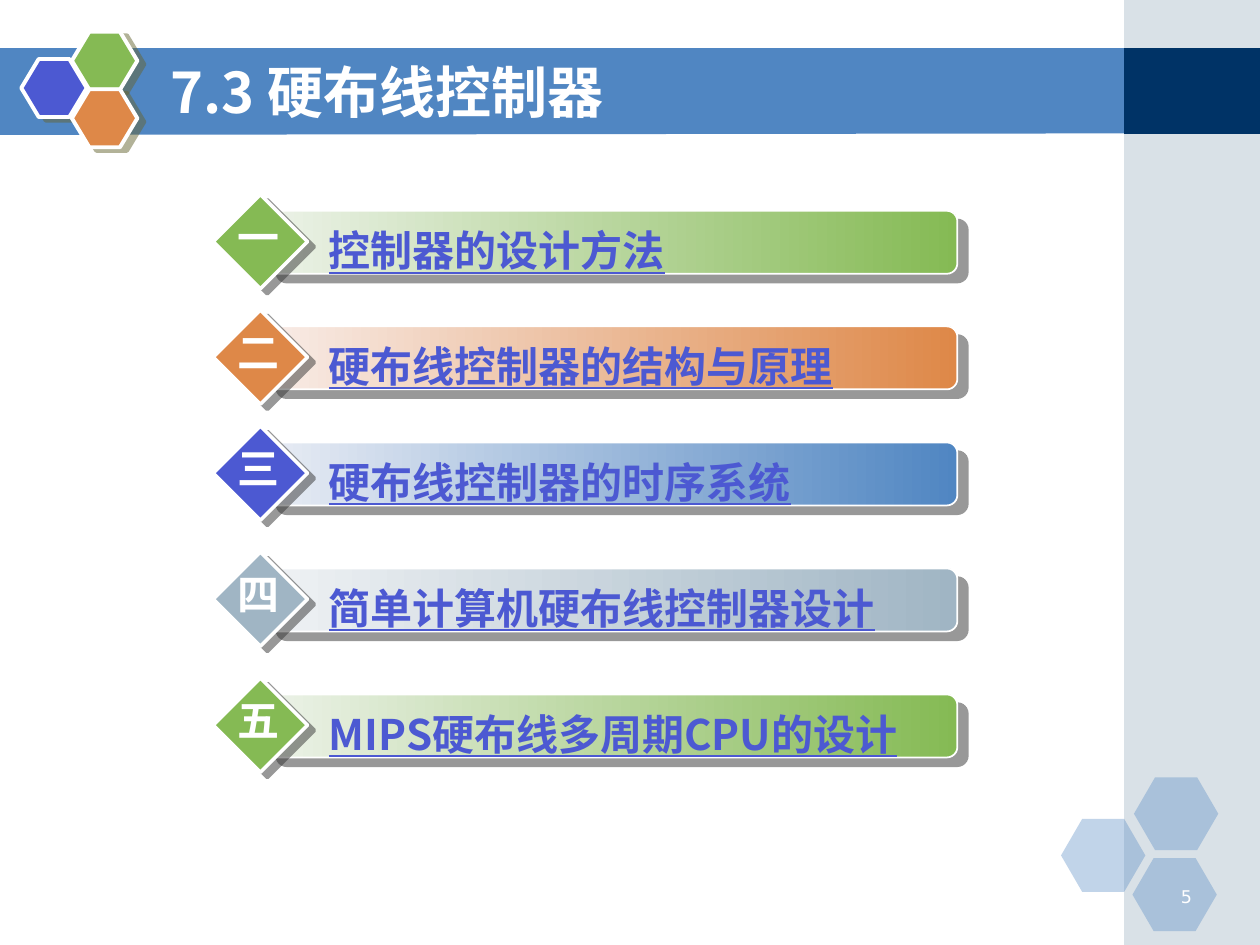
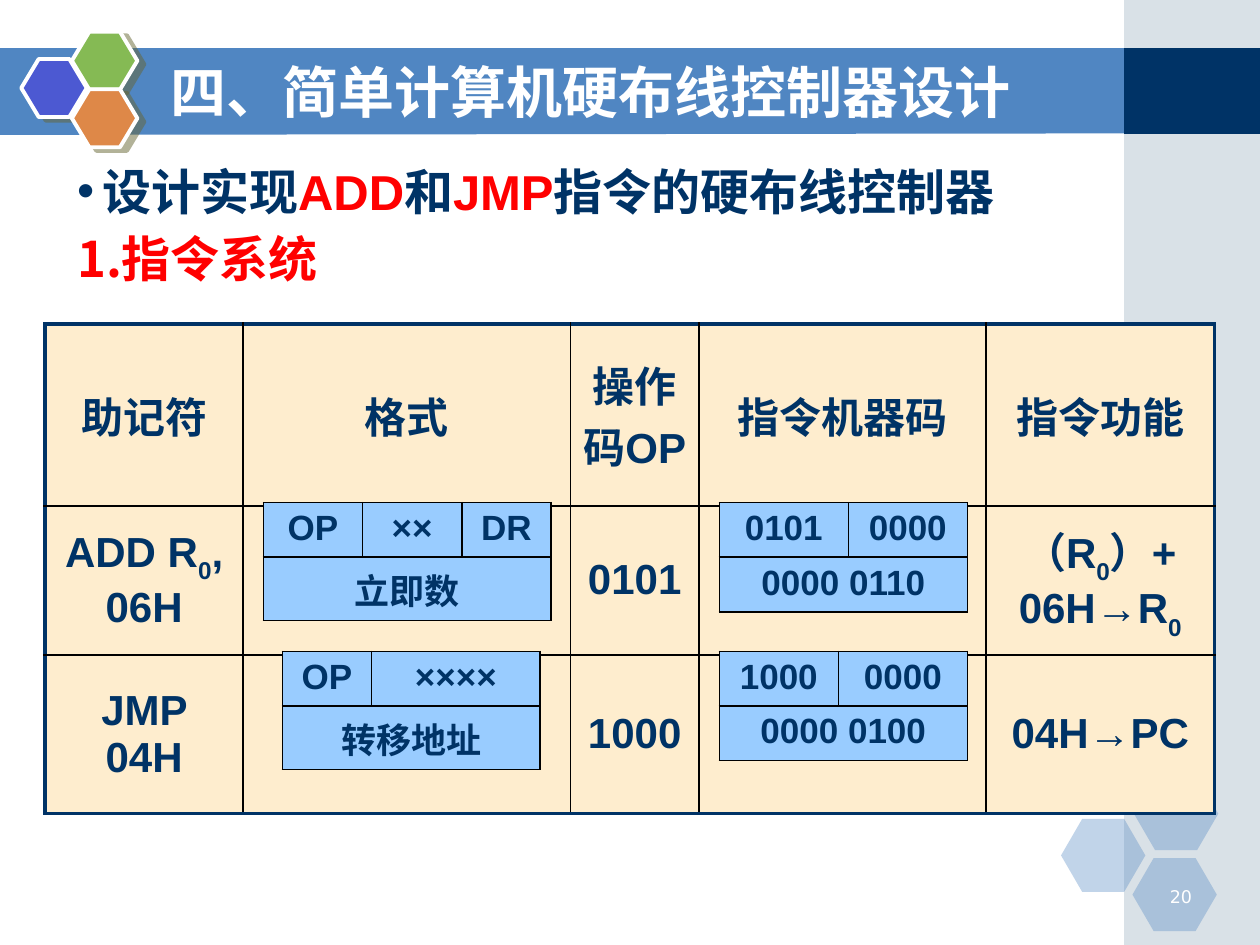
from lxml import etree
from pptx import Presentation
from pptx.dml.color import RGBColor
from pptx.enum.shapes import MSO_SHAPE as Shape
from pptx.enum.text import MSO_ANCHOR as Anchor, MSO_AUTO_SIZE as AutoSize, PP_ALIGN as Align
from pptx.oxml.ns import qn
from pptx.util import Cm, Pt

CJK = "Noto Sans CJK SC"
WHITE, BLACK, NAVY, RED = "FFFFFF", "000000", "003366", "FF0000"
BLUE, INDIGO, GREEN, ORANGE, GREY = "5086C2", "4C59D2", "85BA54", "DE8848", "A0B5C4"
CREAM, SKY = "FEEDCE", "99CCFF"

AGENDA = [
    (4.25, "一", "控制器的设计方法", GREEN, "ECF2E8", GREEN),
    (6.58, "二", "硬布线控制器的结构与原理", ORANGE, "F8ECE7", ORANGE),
    (8.92, "三", "硬布线控制器的时序系统", INDIGO, "E8ECF4", BLUE),
    (11.46, "四", "简单计算机硬布线控制器设计", GREY, "EFF2F4", GREY),
    (14.0, "五", "MIPS硬布线多周期CPU的设计", GREEN, "ECF2E8", GREEN),
]
INSTRUCTIONS = [
    ["助记符", "格式", "操作码OP", "指令机器码", "指令功能"],
    ["ADD R_0_, 06H", "", "0101", "", "（R_0_）+ 06H→R_0_"],
    ["JMP 04H", "", "1000", "", "04H→PC"],
]
CODE_WORDS = [
    (5.31, 10.13, [2, 2, 1.8], ["OP", "××", "DR"], "立即数", 1.28),
    (14.5, 10.13, [2.6, 2.4], ["0101", "0000"], "0000 0110", 1.1),
    (5.69, 13.13, [1.8, 3.4], ["OP", "××××"], "转移地址", 1.28),
    (14.5, 13.13, [2.4, 2.6], ["1000", "0000"], "0000 0100", 1.1),
]


def rgb(color):
    return RGBColor.from_string(color)


def sub(parent, tag, **attrs):
    return etree.SubElement(parent, qn(tag), {k: str(v) for k, v in attrs.items()})


def add_run(p, text, size=24, color=NAVY, font=CJK, bold=True, underline=False, base=0):
    r = p.add_run()
    r.text = text
    f = r.font
    f.size, f.bold, f.name = Pt(size), bold, font
    f.color.rgb = rgb(color)
    if underline:
        f.underline = True
    rPr = r._r.get_or_add_rPr()
    sub(rPr, "a:ea", typeface=CJK)
    if base:
        rPr.set("baseline", str(base * 1000))


def place(shape, left, top, width, height):
    shape.left, shape.top, shape.width, shape.height = map(Cm, (left, top, width, height))


def paint(sp, fill, line=None, weight=1, alpha=None, shadow=None):
    sp.shadow.inherit = False
    if isinstance(fill, tuple):
        sp.fill.gradient()
        sp.fill.gradient_angle = 0
        for stop, color in zip(sp.fill.gradient_stops, fill):
            stop.color.rgb = rgb(color)
    else:
        sp.fill.solid()
        sp.fill.fore_color.rgb = rgb(fill)
    if alpha:
        sub(sp.element.find(".//" + qn("a:srgbClr")), "a:alpha", val=alpha * 1000)
    if line:
        sp.line.color.rgb = rgb(line)
        sp.line.width = Pt(weight)
    else:
        sp.line.fill.background()
    if shadow:
        color, distance, angle = shadow
        outer = sub(sp.element.spPr.find(qn("a:effectLst")), "a:outerShdw", blurRad=0,
                    dist=Pt(distance), dir=angle * 60000, algn="ctr", rotWithShape=0)
        sub(sub(outer, "a:srgbClr", val=color), "a:alpha", val=50000)


def add_shape(s, kind, left, top, width, height, fill, adj=None, **look):
    sp = s.shapes.add_shape(kind, *map(Cm, (left, top, width, height)))
    if adj:
        sp.adjustments[0] = adj
    paint(sp, fill, **look)


def add_text(s, text, left, top, width, height, align=Align.LEFT, wrap=True, inset=0.25, **fmt):
    tf = s.shapes.add_textbox(*map(Cm, (left, top, width, height))).text_frame
    tf.word_wrap = wrap
    tf.margin_left = Cm(inset)
    p = tf.paragraphs[0]
    p.alignment = align
    add_run(p, text, **fmt)


def add_title_band(s):
    band = s.shapes.build_freeform(Cm(-0.03), Cm(0.97))
    band.add_line_segments([(Cm(x), Cm(y)) for x, y in
                            ((22.73, 0.97), (22.73, 2.69), (-0.03, 2.72))])
    paint(band.convert_to_shape(), BLUE)


def build_master(prs, s):
    before = len(s.shapes)
    add_title_band(s)
    add_shape(s, Shape.RECTANGLE, 22.66, 0, 2.74, 19.05, GREY, alpha=40)
    add_shape(s, Shape.RECTANGLE, 22.66, 0.97, 2.74, 1.73, NAVY)
    for left, top in ((21.39, 16.51), (22.86, 15.67), (22.83, 17.3)):
        add_shape(s, Shape.HEXAGON, left, top, 1.7, 1.47, BLUE, adj=0.29, alpha=35)
    for left, top, color in ((0.43, 1.19, INDIGO), (1.45, 0.64, GREEN), (1.45, 1.8, ORANGE)):
        add_shape(s, Shape.HEXAGON, left, top, 1.32, 1.17, color, adj=0.3,
                  line=WHITE, weight=2.25, shadow=("666633", 4.5, 27))
    tree = prs.slide_master.shapes.element
    for i, sp in enumerate(list(s.shapes)[before:]):
        tree.insert(2 + i, sp.element)


def set_title(s, text, number):
    title = s.shapes.title
    place(title, 3.18, 1.05, 18.62, 1.57)
    tf = title.text_frame
    tf.auto_size = AutoSize.NONE
    tf.vertical_anchor = Anchor.MIDDLE
    p = tf.paragraphs[0]
    p.alignment = Align.LEFT
    add_run(p, text, size=32, color=WHITE)
    add_text(s, number, 23.01, 17.73, 1.27, 0.64, align=Align.RIGHT,
             size=10, color=WHITE, font="DejaVu Sans", bold=False)


def add_agenda_item(s, top, number, text, color, light, dark):
    add_shape(s, Shape.ROUNDED_RECTANGLE, 5.36, top, 13.94, 1.27, (light, dark),
              line=WHITE, shadow=("333333", 7.8, 40))
    add_shape(s, Shape.DIAMOND, 4.3, top - 0.33, 1.9, 1.9, color,
              line=WHITE, weight=2, shadow=("333333", 5, 37))
    add_text(s, text, 6, top + 0.15, 16, 1.27, inset=0.63, color=INDIGO, underline=True)
    add_text(s, number, 4.53, top - 0.12, 1.35, 1.27, align=Align.CENTER, wrap=False,
             color=WHITE)


def add_bullet(p, runs, tag, color=NAVY, font="Arial", space=0, **attrs):
    p.line_spacing = 1.0
    p.space_before = Pt(space)
    pPr = p._p.get_or_add_pPr()
    pPr.set("marL", str(Cm(0.51)))
    pPr.set("indent", str(Cm(-0.51)))
    sub(sub(pPr, "a:buClr"), "a:srgbClr", val=color)
    sub(pPr, "a:buFont", typeface=font)
    sub(pPr, tag, **attrs)
    for text, run_color in runs:
        add_run(p, text, size=28, color=run_color, font="Arial")


def set_body(s):
    body = s.placeholders[1]
    place(body, 1.3, 3.12, 22.86, 3.2)
    tf = body.text_frame
    tf.auto_size = AutoSize.NONE
    add_bullet(tf.paragraphs[0],
               [("设计实现", NAVY), ("ADD", RED), ("和", NAVY), ("JMP", RED),
                ("指令的硬布线控制器", NAVY)], "a:buChar", char="•")
    add_bullet(tf.add_paragraph(), [("指令系统", RED)], "a:buAutoNum",
               color=RED, font=CJK, space=5, type="arabicPeriod")


def set_borders(cell, on_edge, edge):
    tcPr = cell._tc.get_or_add_tcPr()
    for i, (side, outer) in enumerate(zip("LRTB", on_edge)):
        color, weight = edge if outer else (BLACK, 1)
        ln = etree.Element(qn("a:ln" + side), w=str(Pt(weight)))
        sub(sub(ln, "a:solidFill"), "a:srgbClr", val=color)
        tcPr.insert(i, ln)


def add_grid(s, left, top, cols, heights, rows, fill, size, anchor=Anchor.TOP, edge=(BLACK, 1)):
    frame = s.shapes.add_table(len(rows), len(cols),
                               *map(Cm, (left, top, sum(cols), sum(heights))))
    table = frame.table
    table.first_row = table.horz_banding = False
    for col, width in zip(table.columns, cols):
        col.width = Cm(width)
    for y, (row, height) in enumerate(zip(rows, heights)):
        table.rows[y].height = Cm(height)
        for x, text in enumerate(row):
            cell = table.cell(y, x)
            cell.fill.solid()
            cell.fill.fore_color.rgb = rgb(fill)
            cell.vertical_anchor = anchor
            set_borders(cell, (x == 0, x == len(cols) - 1, y == 0, y == len(rows) - 1), edge)
            p = cell.text_frame.paragraphs[0]
            p.alignment = Align.CENTER
            for i, part in enumerate(text.split("_")):
                if part:
                    add_run(p, part, size=size, font="Arial", base=-30 * (i % 2))
    return table


def add_code_word(s, left, top, cols, fields, operand, operand_height):
    rows = [fields, [operand] + [""] * (len(cols) - 1)]
    table = add_grid(s, left, top, cols, [1.1, operand_height], rows, SKY, 20)
    table.cell(1, 0).merge(table.cell(1, len(cols) - 1))


def main():
    prs = Presentation()
    prs.slide_width, prs.slide_height = Cm(25.4), Cm(19.05)

    s = prs.slides.add_slide(prs.slide_layouts[5])
    build_master(prs, s)
    set_title(s, "7.3 硬布线控制器", "5")
    for item in AGENDA:
        add_agenda_item(s, *item)

    s = prs.slides.add_slide(prs.slide_layouts[1])
    set_title(s, "四、简单计算机硬布线控制器设计", "20")
    set_body(s)
    add_grid(s, 0.91, 6.53, [3.99, 6.6, 2.59, 5.79, 4.6], [3.67, 3, 3.2], INSTRUCTIONS,
             CREAM, 24, anchor=Anchor.MIDDLE, edge=(NAVY, 2.25))
    for word in CODE_WORDS:
        add_code_word(s, *word)

    prs.save("out.pptx")


if __name__ == "__main__":
    main()
